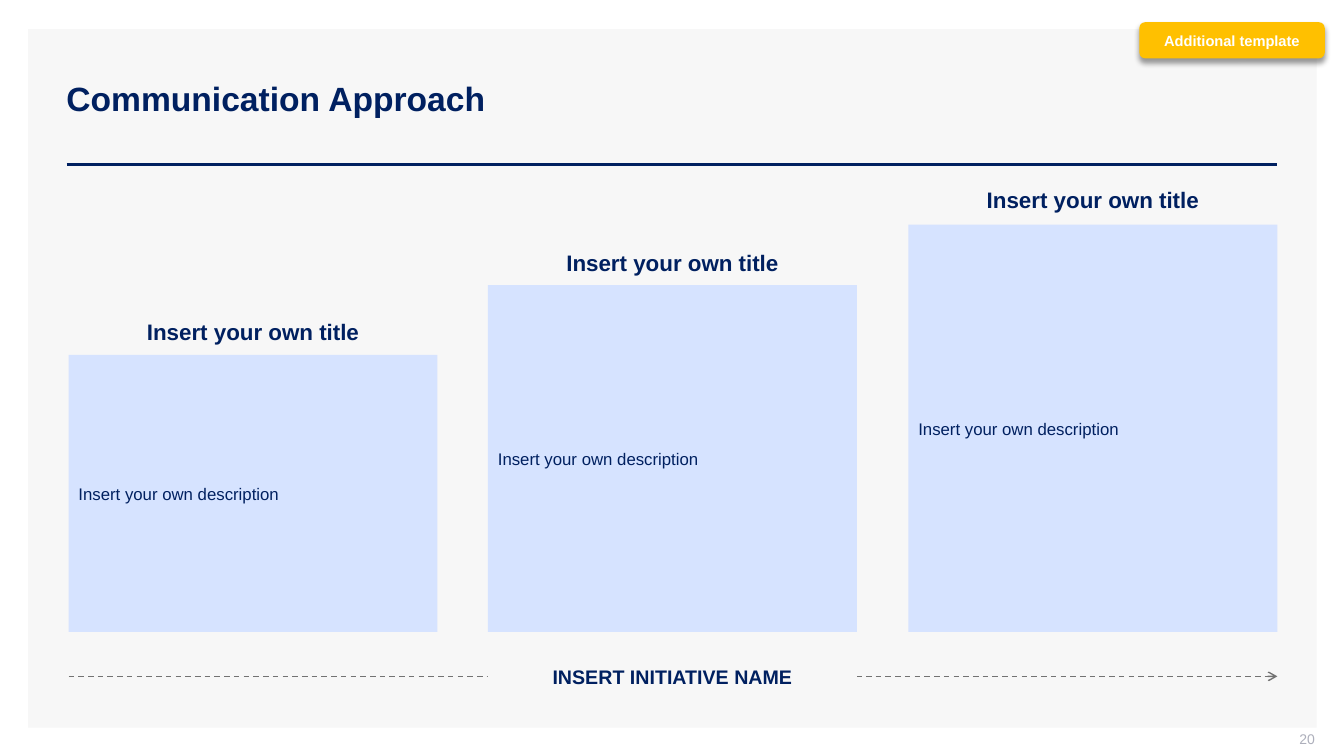
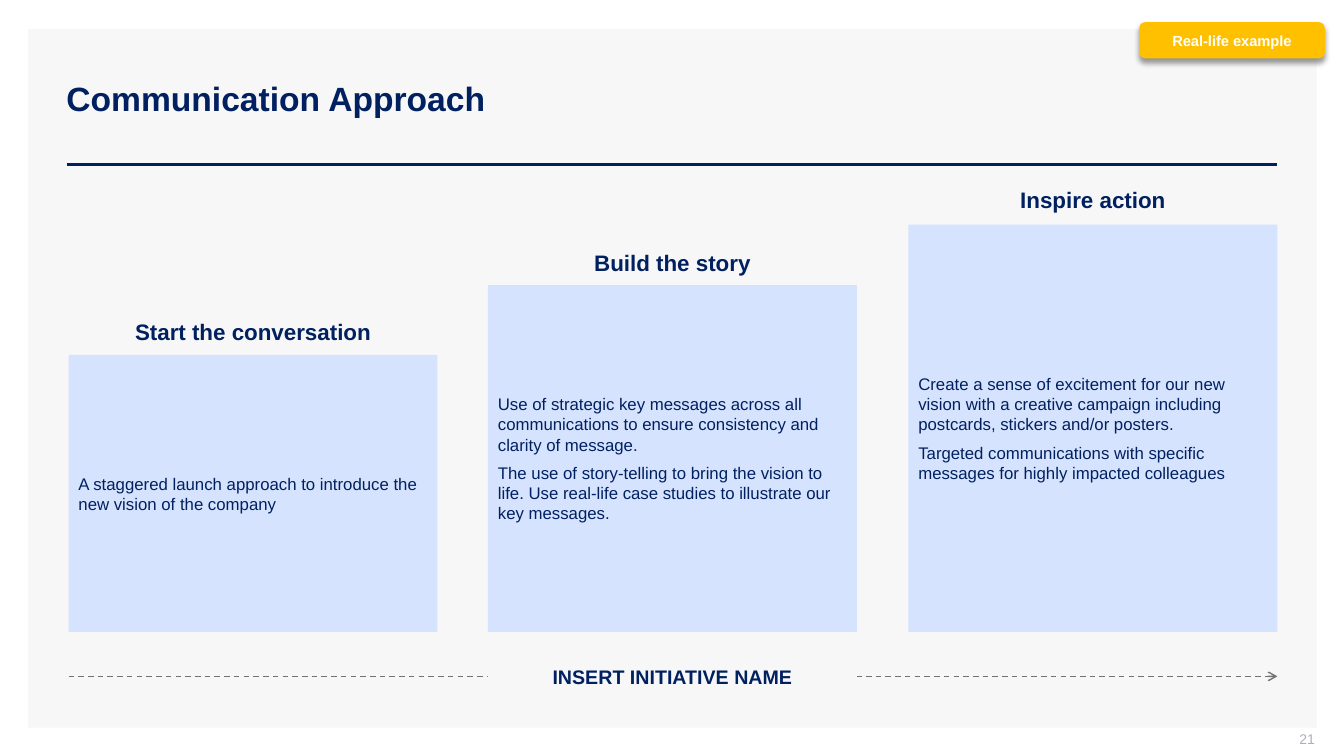
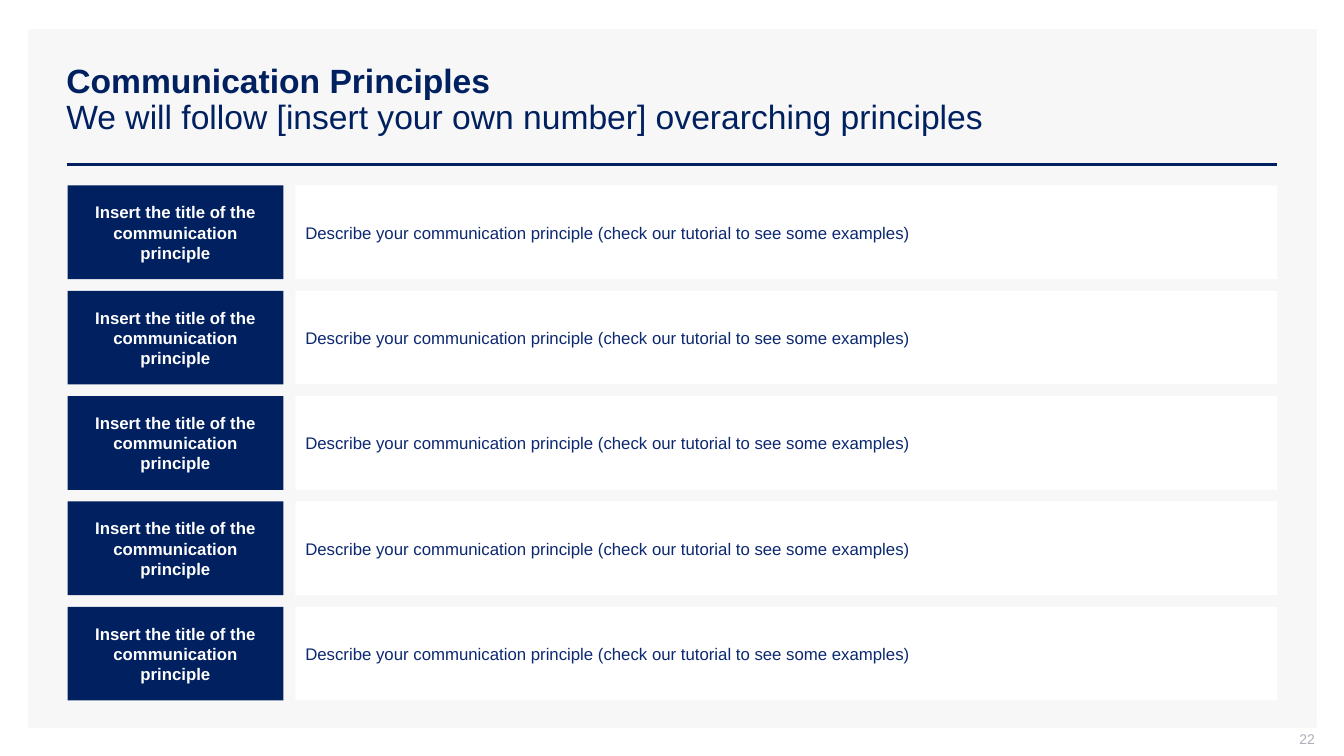
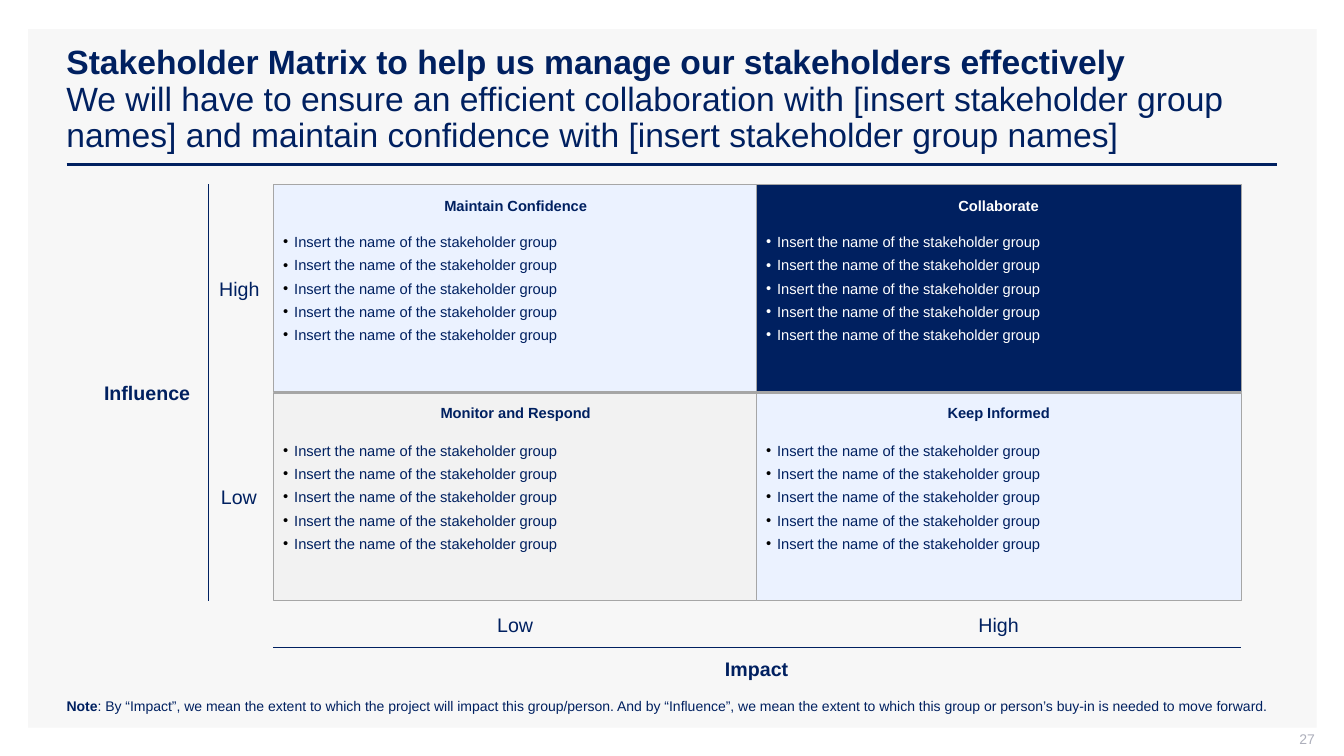
"""Build four change communication slides: approach, principles and stakeholder matrix."""
from lxml import etree
from pptx import Presentation
from pptx import util as u
from pptx.dml.color import RGBColor
from pptx.enum import dml, shapes, text
from pptx.oxml import ns

COLORS = {
    "navy": "002060",
    "ink": "0C2870",
    "panel": "F7F7F7",
    "step": "D6E3FF",
    "pale": "EBF2FF",
    "grey": "F2F2F2",
    "border": "A6A6A6",
    "arrow": "727272",
    "number": "ADAFBB",
    "tag": "FFC000",
    "white": "FFFFFF",
    "black": "000000",
}
FONT = "Arial"
LEFT, CENTER, RIGHT = text.PP_ALIGN.LEFT, text.PP_ALIGN.CENTER, text.PP_ALIGN.RIGHT
TOP, MIDDLE = text.MSO_ANCHOR.TOP, text.MSO_ANCHOR.MIDDLE


def color(name):
    return RGBColor.from_string(COLORS[name])


def child(parent, tag, **attributes):
    return etree.SubElement(parent, ns.qn(tag), attributes)


class Deck:
    def __init__(self):
        self.presentation = Presentation()
        self.presentation.slide_width = u.Inches(13.33)
        self.presentation.slide_height = u.Inches(7.5)
        self.slide = None

    def new_slide(self, number, title, subtitle=None):
        self.slide = self.presentation.slides.add_slide(self.presentation.slide_layouts[6])
        self.box((0.28, 0.29, 12.78, 6.93), "panel")
        self.line((0.66, 1.63), (12.67, 1.63), "navy", 2)
        runs = [(title, True)]
        if subtitle:
            runs += [("\n", False), (subtitle, False)]
        self.label((0.56, 0.4, 12.11, 1.19), [runs], 24, anchor=MIDDLE, line_spacing=0.9)
        self.label((10.04, 7.25, 3, 0.21), [[(str(number), False)]], 10, "number",
                   align=RIGHT, anchor=MIDDLE, insets=(0.1, 0, 0, 0.05))

    def box(self, place, fill, border=None, kind=shapes.MSO_SHAPE.RECTANGLE):
        shape = self.slide.shapes.add_shape(kind, *map(u.Inches, place))
        shape.shadow.inherit = False
        shape.fill.solid()
        shape.fill.fore_color.rgb = color(fill)
        if border:
            shape.line.color.rgb = color(border)
            shape.line.width = u.Pt(0.75)
        else:
            shape.line.fill.background()
        return shape

    def label(self, place, paragraphs, size, ink="navy", **style):
        shape = self.slide.shapes.add_textbox(*map(u.Inches, place))
        self.put_text(shape, paragraphs, size, ink, **style)

    def put_text(self, shape, paragraphs, size, ink="navy", align=LEFT, anchor=TOP,
                 insets=(0.1, 0.05, 0.1, 0.05), wrap=True, before=0, after=0,
                 line_spacing=None, bullet=None):
        frame = shape.text_frame
        frame.word_wrap = wrap
        frame.vertical_anchor = anchor
        (frame.margin_left, frame.margin_top,
         frame.margin_right, frame.margin_bottom) = map(u.Inches, insets)
        for index, runs in enumerate(paragraphs):
            paragraph = frame.add_paragraph() if index else frame.paragraphs[0]
            if bullet:
                self.bullet(paragraph, bullet)
            paragraph.alignment = align
            paragraph.space_before = u.Pt(before if index else 0)
            paragraph.space_after = u.Pt(after)
            if line_spacing:
                paragraph.line_spacing = line_spacing
            paragraph.font.size = u.Pt(size)
            for words, bold in runs:
                if words == "\n":
                    paragraph.add_line_break()
                    continue
                run = paragraph.add_run()
                run.text = words
                run.font.name = FONT
                run.font.size = u.Pt(size)
                run.font.bold = bold
                run.font.color.rgb = color(ink)

    def bullet(self, paragraph, ink):
        properties = paragraph._p.get_or_add_pPr()
        indent = u.Inches(0.11)
        properties.set("marL", str(indent))
        properties.set("indent", str(-indent))
        child(child(properties, "a:buClr"), "a:srgbClr", val=COLORS[ink])
        child(properties, "a:buFont", typeface=FONT)
        child(properties, "a:buChar", char="•")

    def line(self, start, end, ink, width, dashed_arrow=False):
        connector = self.slide.shapes.add_connector(
            shapes.MSO_CONNECTOR.STRAIGHT, *map(u.Inches, start + end))
        connector.line.color.rgb = color(ink)
        connector.line.width = u.Pt(width)
        if dashed_arrow:
            connector.line.dash_style = dml.MSO_LINE.DASH
            child(connector.line._get_or_add_ln(), "a:tailEnd", type="arrow")
        child(connector._element.spPr, "a:effectLst")

    def tag(self, words):
        shape = self.box((11.3, 0.22, 1.84, 0.36), "tag",
                         kind=shapes.MSO_SHAPE.ROUNDED_RECTANGLE)
        effects = shape._element.spPr.find(ns.qn("a:effectLst"))
        shadow = child(effects, "a:outerShdw", blurRad=str(u.Pt(4)), dist=str(u.Pt(3)),
                       dir="5400000", algn="t", rotWithShape="0")
        child(child(shadow, "a:srgbClr", val=COLORS["black"]), "a:alpha", val="40000")
        self.put_text(shape, [[(words, True)]], 10.5, "white", align=CENTER, anchor=MIDDLE)

    def approach(self, number, tag, steps):
        self.new_slide(number, "Communication Approach")
        width, bottom = 3.66, 6.27
        places = [(0.68, 3.11, 3.52), (4.84, 2.42, 2.83), (9.01, 1.8, 2.23)]
        for (left, heading_top, top), (heading, descriptions) in zip(places, steps):
            self.label((left, heading_top, width, 0.37), [[(heading, True)]], 16, align=CENTER)
            shape = self.box((left, top, width, bottom - top), "step")
            self.put_text(shape, [[(words, False)] for words in descriptions], 12,
                          anchor=MIDDLE, after=6)
        self.line((0.68, 6.71), (12.67, 6.71), "arrow", 1, dashed_arrow=True)
        name = self.box((4.84, 6.54, width, 0.34), "panel")
        self.put_text(name, [[("INSERT INITIATIVE NAME", True)]], 14,
                      align=CENTER, anchor=MIDDLE)
        self.tag(tag)

    def principles(self, number, rows):
        self.new_slide(number, "Communication Principles",
                       "We will follow [insert your own number] overarching principles")
        first, last, height = 1.84, 6.02, 0.93
        pitch = (last - first) / (len(rows) - 1)
        for index, (heading, description) in enumerate(rows):
            top = first + index * pitch
            shape = self.box((0.67, top, 2.14, height), "navy")
            self.put_text(shape, [[(heading, True)]], 12, "white",
                          align=CENTER, anchor=MIDDLE, after=2)
            shape = self.box((2.93, top, 9.74, height), "white")
            self.put_text(shape, [[(description, False)]], 12, "ink", anchor=MIDDLE, after=2)

    def matrix(self, number, cells, group):
        self.new_slide(
            number, "Stakeholder Matrix to help us manage our stakeholders effectively",
            "We will have to ensure an efficient collaboration with [insert stakeholder group "
            "names] and maintain confidence with [insert stakeholder group names]")
        note = (": By “Impact”, we mean the extent to which the project will impact this "
                "group/person. And by “Influence”, we mean the extent to which this group or "
                "person’s buy-in is needed to move forward.")
        self.label((0.66, 6.92, 12.01, 0.17), [[("Note", True), (note, False)]], 10,
                   insets=(0, 0, 0, 0))
        wide = (0.2, 0.1, 0.2, 0.1)
        for words, place in (("Influence", (0.83, 3.68, 1.26, 0.43)),
                             ("Impact", (6.99, 6.42, 1.03, 0.43))):
            self.label(place, [[(words, True)]], 14, align=CENTER, insets=wide, wrap=False)
        for words, place in (("High", (9.6, 6.03, 0.61, 0.34)),
                             ("Low", (4.83, 6.03, 0.56, 0.34)),
                             ("Low", (2.09, 4.76, 0.56, 0.34)),
                             ("High", (2.07, 2.7, 0.61, 0.34))):
            self.label(place, [[(words, False)]], 14, align=CENTER, wrap=False)
        for index, (heading, fill, ink, bullet) in enumerate(cells):
            row, column = divmod(index, 2)
            shape = self.box((2.71 + column * 4.79, 1.83 + row * 2.07, 4.81, 2.06),
                             fill, "border")
            self.put_text(shape, [[(group, False)]] * 5, 10.5, ink, anchor=MIDDLE,
                          before=2, after=2, bullet=bullet)
            self.label((3.47 + column * 4.79, 1.87 + row * 2.05, 3.29, 0.37),
                       [[(heading, True)]], 10.5, ink, align=CENTER, insets=wide)
        self.line((2.07, 1.83), (2.07, 5.96), "navy", 0.5)
        self.line((2.71, 6.42), (12.31, 6.42), "navy", 0.5)


def main():
    deck = Deck()
    deck.approach(20, "Additional template",
                  [("Insert your own title", ["Insert your own description"])] * 3)
    deck.approach(21, "Real-life example", [
        ("Start the conversation", [
            "A staggered launch approach to introduce the new vision of the company"]),
        ("Build the story", [
            "Use of strategic key messages across all communications to ensure consistency "
            "and clarity of message.",
            "The use of story-telling to bring the vision to life. Use real-life case studies "
            "to illustrate our key messages."]),
        ("Inspire action", [
            "Create a sense of excitement for our new vision with a creative campaign "
            "including postcards, stickers and/or posters.",
            "Targeted communications with specific messages for highly impacted colleagues"]),
    ])
    deck.principles(22, [(
        "Insert the title of the communication principle",
        "Describe your communication principle (check our tutorial to see some examples)")] * 5)
    deck.matrix(27, [
        ("Maintain Confidence", "pale", "navy", "black"),
        ("Collaborate", "navy", "white", "white"),
        ("Monitor and Respond", "grey", "navy", "black"),
        ("Keep Informed", "pale", "navy", "black"),
    ], "Insert the name of the stakeholder group")
    deck.presentation.save("out.pptx")


if __name__ == "__main__":
    main()
